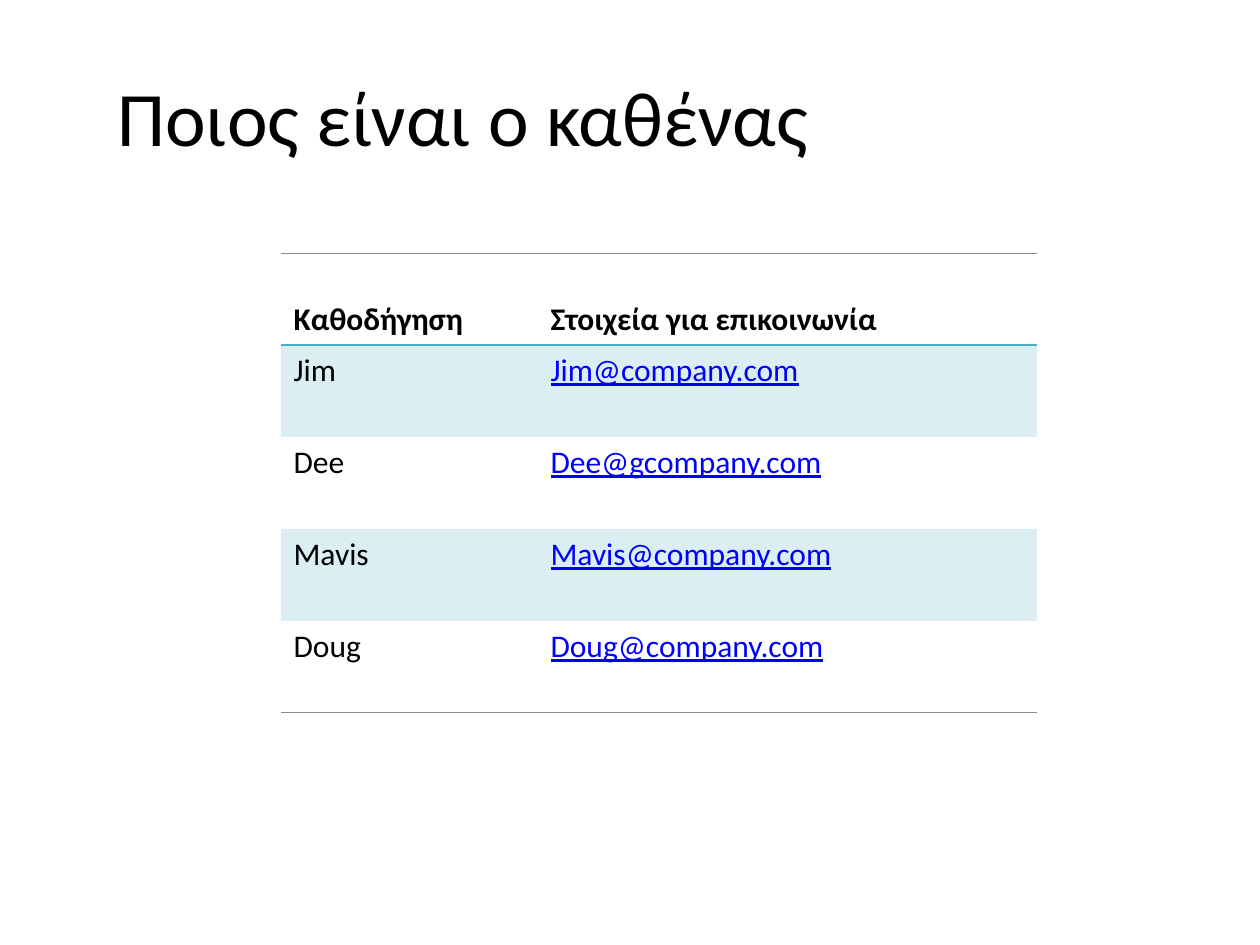
from dataclasses import dataclass

from lxml.etree import SubElement
from pptx import Presentation
from pptx.dml.color import RGBColor
from pptx.enum.text import MSO_ANCHOR as Anchor
from pptx.oxml.ns import qn
from pptx.util import Emu, Pt

EMU_PER_PX = 914400 // 126
NO_STYLE = "{2D5ABB26-0587-4C30-8999-92F81FD0307C}"


@dataclass(frozen=True)
class Theme:
    font: str = "Calibri"
    ink: str = "000000"
    link: str = "0000FF"
    accent: str = "4BACC6"
    rule: str = "8C8C8C"
    title_size: int = 44
    body_size: int = 18
    band_alpha: int = 20


THEME = Theme()

HEADINGS = ("Καθοδήγηση", "Στοιχεία για επικοινωνία")
CONTACTS = (
    ("Jim", "Jim@company.com"),
    ("Dee", "Dee@gcompany.com"),
    ("Mavis", "Mavis@company.com"),
    ("Doug", "Doug@company.com"),
)


def px(length):
    return Emu(length * EMU_PER_PX)


def write(frame, text, size=THEME.body_size, color=THEME.ink, bold=False, underline=False):
    run = frame.paragraphs[0].add_run()
    run.text = text
    font = run.font
    font.name, font.size = THEME.font, Pt(size)
    font.bold, font.underline = bold, underline
    font.color.rgb = RGBColor.from_string(color)


def add_title(slide, text):
    title = slide.shapes.add_textbox(px(105), px(37), px(1113), px(158))
    frame = title.text_frame
    frame.word_wrap = True
    frame.vertical_anchor = Anchor.MIDDLE
    write(frame, text, size=THEME.title_size)


def add_border(cell, side, color, width):
    """Draw one cell edge; side is "T" or "B", added in that order before any fill."""
    line = SubElement(cell._tc.get_or_add_tcPr(), qn(f"a:ln{side}"), w=str(Pt(width)))
    fill = SubElement(line, qn("a:solidFill"))
    SubElement(fill, qn("a:srgbClr"), val=color)


def fill_band(cell):
    cell.fill.solid()
    cell.fill.fore_color.rgb = RGBColor.from_string(THEME.accent)
    tint = cell._tc.tcPr.find(f".//{qn('a:solidFill')}/{qn('a:srgbClr')}")
    SubElement(tint, qn("a:alpha"), val=str(THEME.band_alpha * 1000))


def add_contact_table(slide, left, top, widths, row_height):
    rows = (HEADINGS, *CONTACTS)
    table = slide.shapes.add_table(
        len(rows), len(widths), px(left), px(top), px(sum(widths)), px(row_height * len(rows))
    ).table
    table.first_row = table.horz_banding = False
    table._tbl.tblPr.find(qn("a:tableStyleId")).text = NO_STYLE
    for column, width in zip(table.columns, widths):
        column.width = px(width)
    for r, texts in enumerate(rows):
        table.rows[r].height = px(row_height)
        for c, text in enumerate(texts):
            cell = table.cell(r, c)
            is_header, is_link = r == 0, r > 0 and c == 1
            if is_header:
                cell.vertical_anchor = Anchor.BOTTOM
                add_border(cell, "T", THEME.rule, 0.5)
                add_border(cell, "B", THEME.accent, 1)
            elif r == len(rows) - 1:
                add_border(cell, "B", THEME.rule, 0.5)
            if r % 2:
                fill_band(cell)
            else:
                cell.fill.background()
            write(cell.text_frame, text, bold=is_header, underline=is_link,
                  color=THEME.link if is_link else THEME.ink)


def main():
    deck = Presentation()
    deck.slide_width, deck.slide_height = px(1260), px(945)
    slide = deck.slides.add_slide(deck.slide_layouts[6])
    add_title(slide, "Ποιος είναι ο καθένας")
    add_contact_table(slide, left=281, top=253, widths=(257, 499), row_height=92)
    deck.save("out.pptx")


if __name__ == "__main__":
    main()
